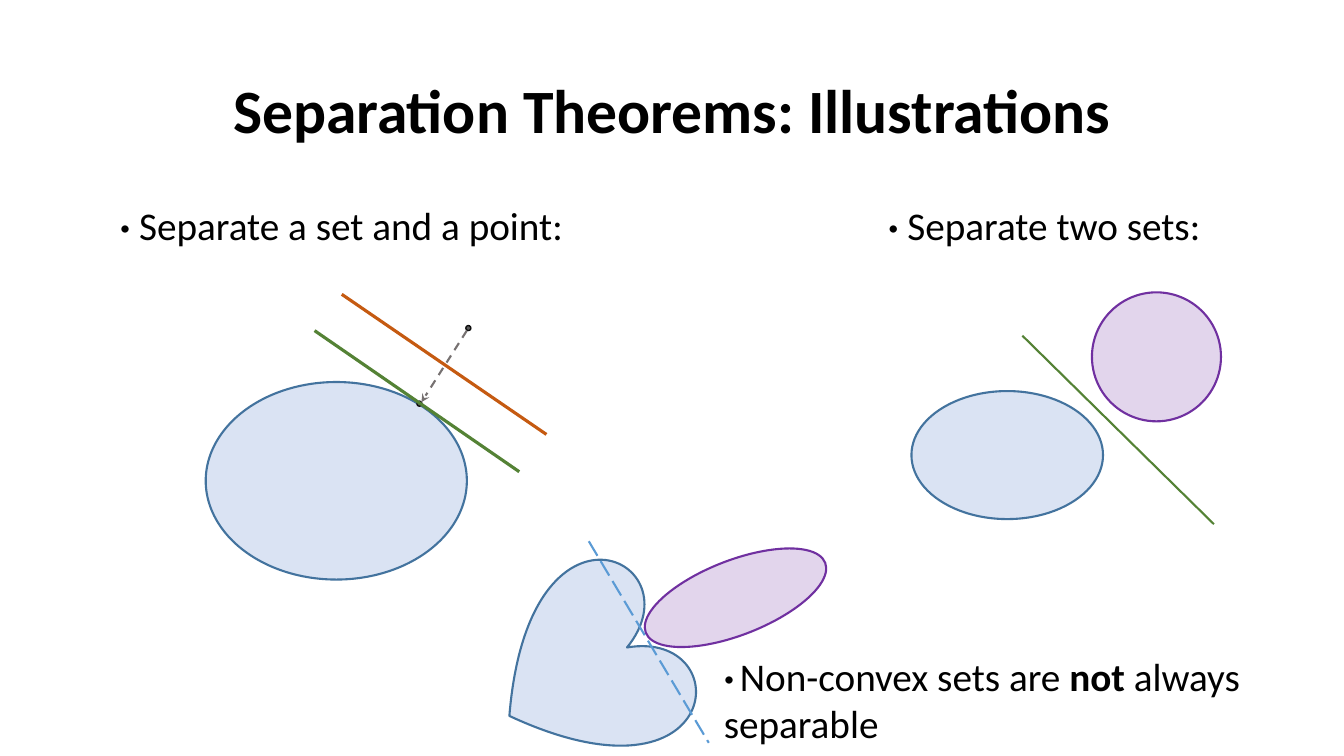
from pptx import Presentation
from pptx.dml.color import RGBColor as RGB
from pptx.enum.dml import MSO_LINE as Dash
from pptx.enum.shapes import MSO_CONNECTOR as Conn, MSO_SHAPE as Kind
from pptx.enum.text import MSO_ANCHOR as Anchor, MSO_AUTO_SIZE as Fit, PP_ALIGN as Align
from pptx.oxml.ns import qn
from pptx.util import Inches, Pt
from lxml.etree import SubElement as Sub

THEME = {
    "font": "Calibri", "title": 44, "body": 28, "gap": 18, "ink": "000000",
    "blue": ("DAE3F3", "43739E", 1.5, None),
    "plum": ("7030A0", "7030A0", 1.5, 20),
    "dot": ("595959", "0D0D0D", 1, None),
    "green": "548235", "rust": "C55A11", "gray": "767171", "sky": "5B9BD5",
}

deck = Presentation()
deck.slide_width, deck.slide_height = Inches(13.33), Inches(7.5)
slide = deck.slides.add_slide(deck.slide_layouts[6])
shapes = slide.shapes

# Grid of 1333 columns by 750 rows
COL, ROW = deck.slide_width / 1333, deck.slide_height / 750


def place(x, y, w, h):
    return [round(n) for n in (x * COL, y * ROW, w * COL, h * ROW)]


def style(run, size, bold):
    run.font.name, run.font.size, run.font.bold = THEME["font"], Pt(size), bold
    run.font.color.rgb = RGB.from_string(THEME["ink"])


# Title and captions: box, wrap, line spacing, paragraphs of (text, size, bold)
big, mid, gap = THEME["title"], THEME["body"], THEME["gap"]
texts = [
    ((92, 40, 1150, 145), True, 0.9,
     [[("Separation Theorems: Illustrations", big, True)]]),
    ((109, 200, 600, 55), True, 0.9,
     [[("· ", mid, True), ("Separate a set and a point:", mid, False)]]),
    ((871, 200, 371, 55), True, 0.9,
     [[("· ", mid, True), ("Separate two sets:", mid, False)]]),
    ((708, 642, 542, 104), False, 1.0,
     [[("·", mid, True), (" ", gap, True), ("Non-convex sets are ", mid, False),
       ("not", mid, True), (" always", mid, False)],
      [("separable", mid, False)]]),
]
for spot, wrap, lead, paras in texts:
    box = shapes.add_textbox(*place(*spot))
    frame = box.text_frame
    frame.word_wrap, frame.auto_size = wrap, Fit.NONE
    for i, parts in enumerate(paras):
        para = frame.add_paragraph() if i else frame.paragraphs[0]
        para.line_spacing = lead
        for words, size, bold in parts:
            run = para.add_run()
            run.text = words
            style(run, size, bold)
            if size == big:
                para.alignment, frame.vertical_anchor = Align.CENTER, Anchor.MIDDLE

# Sets and points
sets = [
    (Kind.OVAL, (204, 379, 259, 196), 0, "blue"),
    (Kind.OVAL, (413.5, 398, 5, 5), 0, "dot"),
    (Kind.OVAL, (462, 323, 5, 5), 0, "dot"),
    (Kind.OVAL, (1083, 290, 128, 128), 0, "plum"),
    (Kind.OVAL, (904, 388, 190, 127), 0, "blue"),
    (Kind.HEART, (488, 575, 190, 180), 59.8, "blue"),
    (Kind.OVAL, (634, 556, 191, 74), 338.7, "plum"),
]
for kind, spot, turn, look in sets:
    fill, edge, width, alpha = THEME[look]
    shape = shapes.add_shape(kind, *place(*spot))
    shape.rotation, shape.shadow.inherit = turn, False
    shape.fill.solid()
    shape.fill.fore_color.rgb = RGB.from_string(fill)
    shape.line.color.rgb, shape.line.width = RGB.from_string(edge), Pt(width)
    if alpha:
        tint = shape.fill._xPr.find(qn("a:solidFill"))[0]
        Sub(tint, qn("a:alpha"), val=str(alpha * 1000))

# Separating lines and the arrow to the nearest point
lines = [
    ((312, 328, 515, 468), "green", 2.25, None, False),
    ((339, 292, 542, 431), "rust", 2.25, None, False),
    ((463, 328, 418, 399), "gray", 1.5, Dash.DASH, True),
    ((1014, 333, 1204, 520), "green", 1.5, None, False),
    ((584, 537, 703, 737), "sky", 1.5, Dash.LONG_DASH, False),
]
for ends, tone, width, dash, arrow in lines:
    link = shapes.add_connector(Conn.STRAIGHT, *place(*ends))
    link.line.color.rgb, link.line.width = RGB.from_string(THEME[tone]), Pt(width)
    if dash:
        link.line.dash_style = dash
    if arrow:
        Sub(link.line._get_or_add_ln(), qn("a:tailEnd"), type="stealth", w="med", len="med")
    Sub(link._element.spPr, qn("a:effectLst"))

deck.save("out.pptx")
